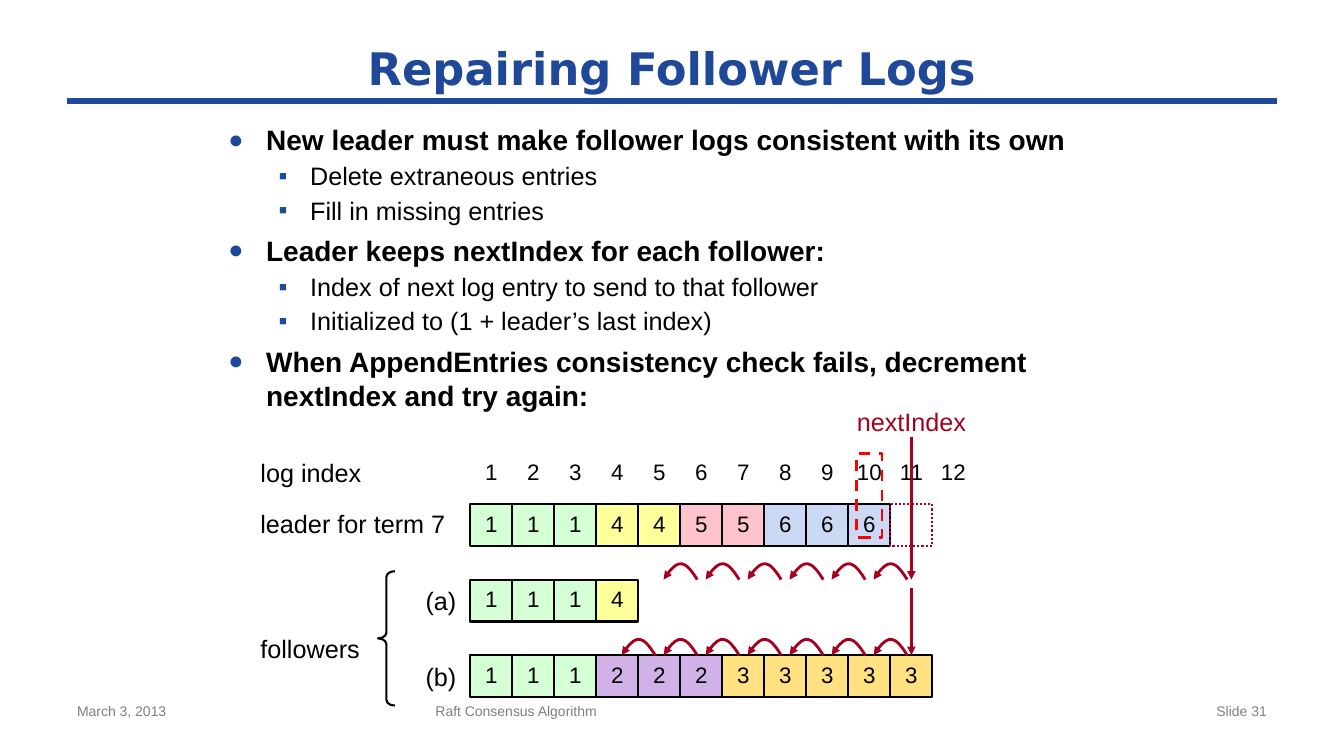
from lxml import etree
from pptx import Presentation
from pptx.dml.color import RGBColor
from pptx.enum.dml import MSO_LINE as Dash
from pptx.enum.shapes import MSO_CONNECTOR as Link, MSO_SHAPE as Shape
from pptx.enum.text import MSO_ANCHOR as Anchor, PP_ALIGN as Align
from pptx.oxml import parse_xml
from pptx.oxml.ns import nsdecls, qn
from pptx.util import Pt

hex_color = RGBColor.from_string
BLUE, RED, BLACK, GRAY = "1F4899", "A5001E", "000000", "7F7F7F"
CELL, LOG_LEFT = 30, 336
LEADER_TOP, A_TOP, B_TOP = 360, 414, 468
TERM_FILLS = {"1": "D5FFD5", "2": "D1B2E8", "3": "FFE181",
              "4": "FFFF9B", "5": "FFC3CE", "6": "CCD9F4"}

deck = Presentation()
deck.slide_width, deck.slide_height = Pt(960), Pt(540)
slide = deck.slides.add_slide(deck.slide_layouts[5])
shapes = slide.shapes


def write(shape, text, size, color=BLACK, align=Align.LEFT, inset=None,
          spacing=None, wrap=True):
    frame = shape.text_frame
    frame.word_wrap = wrap
    if inset is not None:
        frame.margin_left = frame.margin_right = Pt(inset)
        frame.margin_top = frame.margin_bottom = Pt(inset)
    paragraph = frame.paragraphs[0]
    paragraph.alignment = align
    if spacing:
        paragraph.line_spacing = Pt(spacing)
    run = paragraph.add_run()
    run.text = text
    run.font.size, run.font.name = Pt(size), "Arial"
    run.font.color.rgb = hex_color(color)
    return run


def outline(shape, color, width, dash=None, arrow=False):
    shape.line.color.rgb = hex_color(color)
    shape.line.width = Pt(width)
    if dash:
        shape.line.dash_style = dash
    if arrow:
        etree.SubElement(shape.line._get_or_add_ln(), qn("a:tailEnd"), type="triangle")
    if shape._element.spPr.find(qn("a:effectLst")) is None:
        etree.SubElement(shape._element.spPr, qn("a:effectLst"))


# Title and rule
title = shapes.title
title.left, title.top, title.width, title.height = Pt(48), Pt(24), Pt(864), Pt(48)
title.text_frame.vertical_anchor = Anchor.MIDDLE
heading = write(title, "Repairing Follower Logs", 32, BLUE, Align.CENTER)
heading.font.name, heading.font.bold = "DejaVu Sans", True
title_rule = shapes.add_connector(Link.STRAIGHT, Pt(48), Pt(72), Pt(912), Pt(72))
outline(title_rule, BLUE, 4)

# Footer
for left, width, note, align in [
        (48, 224, "March 3, 2013", Align.LEFT),
        (304, 360, "Raft Consensus Algorithm", Align.LEFT),
        (688, 224, "Slide 31", Align.RIGHT)]:
    footer = shapes.add_textbox(Pt(left), Pt(498), Pt(width), Pt(31))
    write(footer, note, 10, GRAY, align)

# Bullet points
points = [
    (0, "New leader must make follower logs consistent with its own"),
    (1, "Delete extraneous entries"),
    (1, "Fill in missing entries"),
    (0, "Leader keeps nextIndex for each follower:"),
    (1, "Index of next log entry to send to that follower"),
    (1, "Initialized to (1 + leader’s last index)"),
    (0, "When AppendEntries consistency check fails, decrement nextIndex and try again:"),
]
# level: (left margin, hanging indent, bullet, bullet %, size, space before)
levels = [(27, 27, "●", 90, 20, 6), (58.5, 22.5, "▪", 100, 18, 3)]
body = shapes.add_textbox(Pt(156), Pt(84), Pt(648), Pt(240)).text_frame
body.word_wrap = True
for i, (level, text) in enumerate(points):
    margin, hang, bullet, percent, size, before = levels[level]
    paragraph = body.paragraphs[0] if i == 0 else body.add_paragraph()
    paragraph.level = level
    props = paragraph._p.get_or_add_pPr()
    props.set("marL", str(Pt(margin)))
    props.set("indent", str(-Pt(hang)))
    for bullet_xml in (f'<a:buClr {nsdecls("a")}><a:srgbClr val="{BLUE}"/></a:buClr>',
                       f'<a:buSzPct {nsdecls("a")} val="{percent * 1000}"/>',
                       f'<a:buFont {nsdecls("a")} typeface="Arial"/>',
                       f'<a:buChar {nsdecls("a")} char="{bullet}"/>'):
        props.append(parse_xml(bullet_xml))
    if i:
        paragraph.space_before = Pt(before)
    run = paragraph.add_run()
    run.text = text
    run.font.size, run.font.name, run.font.bold = Pt(size), "Arial", level == 0
    run.font.color.rgb = hex_color(BLACK)

# Log entries, one cell per term number
for top, terms in [(LEADER_TOP, "1114455666"), (A_TOP, "1114"), (B_TOP, "11122233333")]:
    for i, term in enumerate(terms):
        entry = shapes.add_shape(Shape.RECTANGLE, Pt(LOG_LEFT + i * CELL), Pt(top),
                                 Pt(CELL), Pt(CELL))
        entry.fill.solid()
        entry.fill.fore_color.rgb = hex_color(TERM_FILLS[term])
        outline(entry, BLACK, 1.5)
        entry.text_frame.vertical_anchor = Anchor.MIDDLE
        write(entry, term, 16, align=Align.CENTER, inset=0, spacing=17)
last_entry = entry

# Log index numbers
for index in range(1, 13):
    extra = 6 if index > 9 else 0
    number = shapes.add_textbox(Pt(LOG_LEFT + (index - 1) * CELL - extra), Pt(324),
                                Pt(CELL + 2 * extra), Pt(26.6))
    write(number, str(index), 16, align=Align.CENTER)

# Row labels
for left, top, width, height, label, color, align, spacing, wrap in [
        (186, 326.5, 90, 21.6, "log index", BLACK, Align.LEFT, None, True),
        (186, 365.5, 144, 19, "leader for term 7", BLACK, Align.LEFT, 19, True),
        (186, 455, 72, 19, "followers", BLACK, Align.LEFT, 19, False),
        (300, 418.2, 30, 21.6, "(a)", BLACK, Align.CENTER, None, True),
        (300, 472.2, 30, 21.6, "(b)", BLACK, Align.CENTER, None, True),
        (612, 293, 78.5, 19, "nextIndex", RED, Align.LEFT, 19, False)]:
    row_label = shapes.add_textbox(Pt(left), Pt(top), Pt(width), Pt(height))
    write(row_label, label, 18, color, align, 0, spacing, wrap)

# Brace around the followers
brace = shapes.add_shape(Shape.LEFT_BRACE, Pt(270), Pt(408), Pt(12), Pt(96))
brace.adjustments[0] = 0.338
brace.fill.background()
outline(brace, BLACK, 1.5)

# Curved steps back from nextIndex, in hundredths of a point
for row_top, steps in [(B_TOP, 7), (A_TOP, 6)]:
    for step in range(steps):
        builder = shapes.build_freeform(2400, 1080, scale=127)
        builder.add_line_segments([(1200, 0), (0, 1080)], close=False)
        hop = builder.convert_to_shape(Pt(624 - step * CELL), Pt(row_top - 10.8))
        outline_path = hop._element.spPr.find(".//" + qn("a:path"))
        for line in outline_path.findall(qn("a:lnTo")):
            outline_path.remove(line)
        curve = etree.SubElement(outline_path, qn("a:cubicBezTo"))
        for x, y in [(1520, -360), (900, -360), (0, 1080)]:
            etree.SubElement(curve, qn("a:pt"), x=str(x), y=str(y))
        hop.fill.background()
        outline(hop, RED, 2, arrow=True)

# nextIndex arrows
for start, end in [(312, A_TOP), (420, B_TOP)]:
    pointer = shapes.add_connector(Link.STRAIGHT, Pt(651), Pt(start), Pt(651), Pt(end))
    outline(pointer, RED, 2, arrow=True)
pointer.end_connect(last_entry, 0)

# Empty next slot and highlighted index
for left, top, width, height, color, weight, dash in [
        (636, LEADER_TOP, CELL, CELL, RED, 1.5, Dash.ROUND_DOT),
        (612, 324, 18, 60, "FF0000", 2, Dash.DASH)]:
    frame_box = shapes.add_shape(Shape.RECTANGLE, Pt(left), Pt(top), Pt(width), Pt(height))
    frame_box.fill.background()
    outline(frame_box, color, weight, dash)

deck.save("out.pptx")
